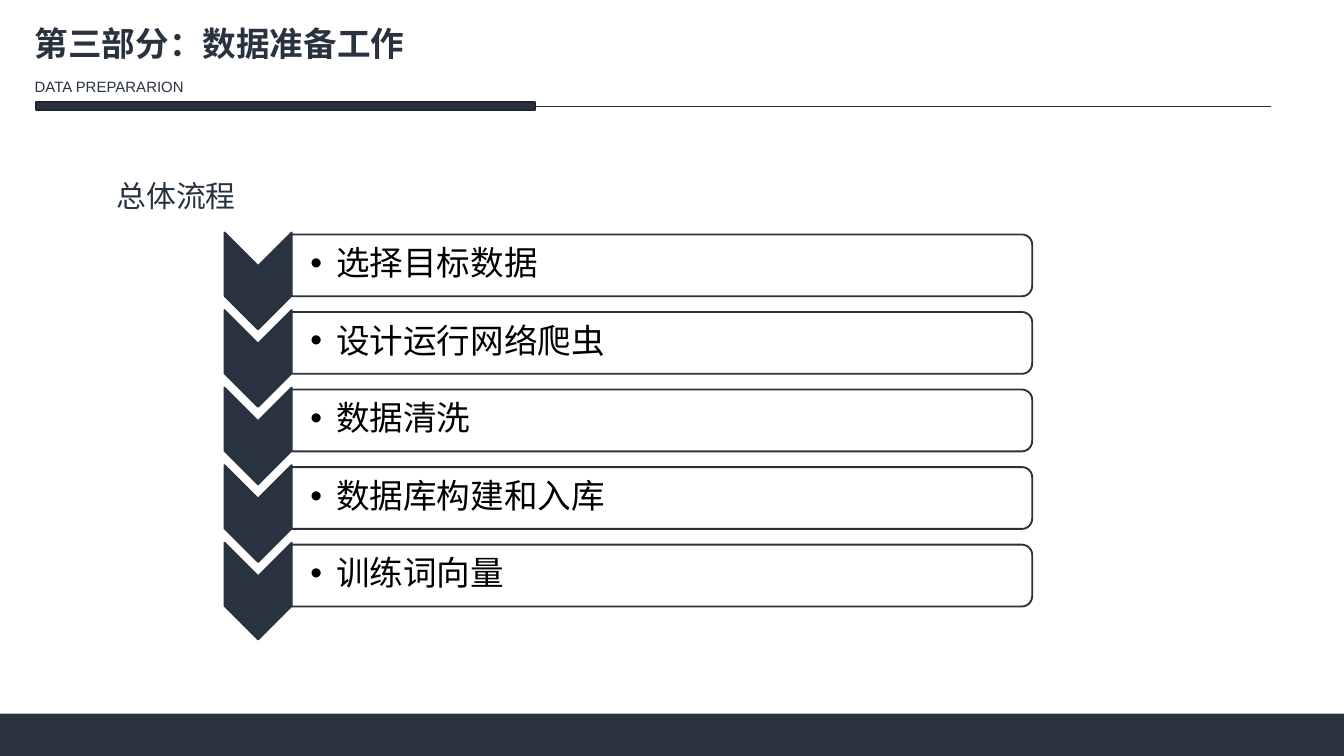
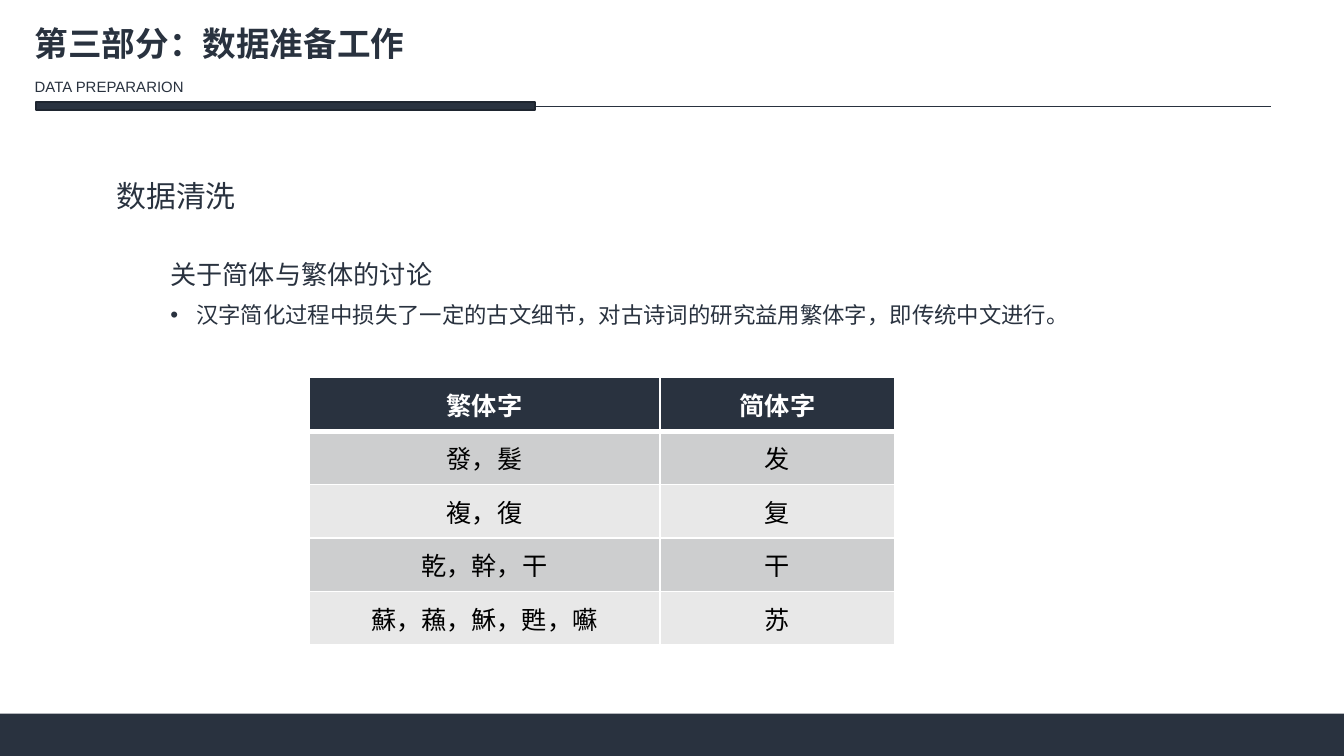
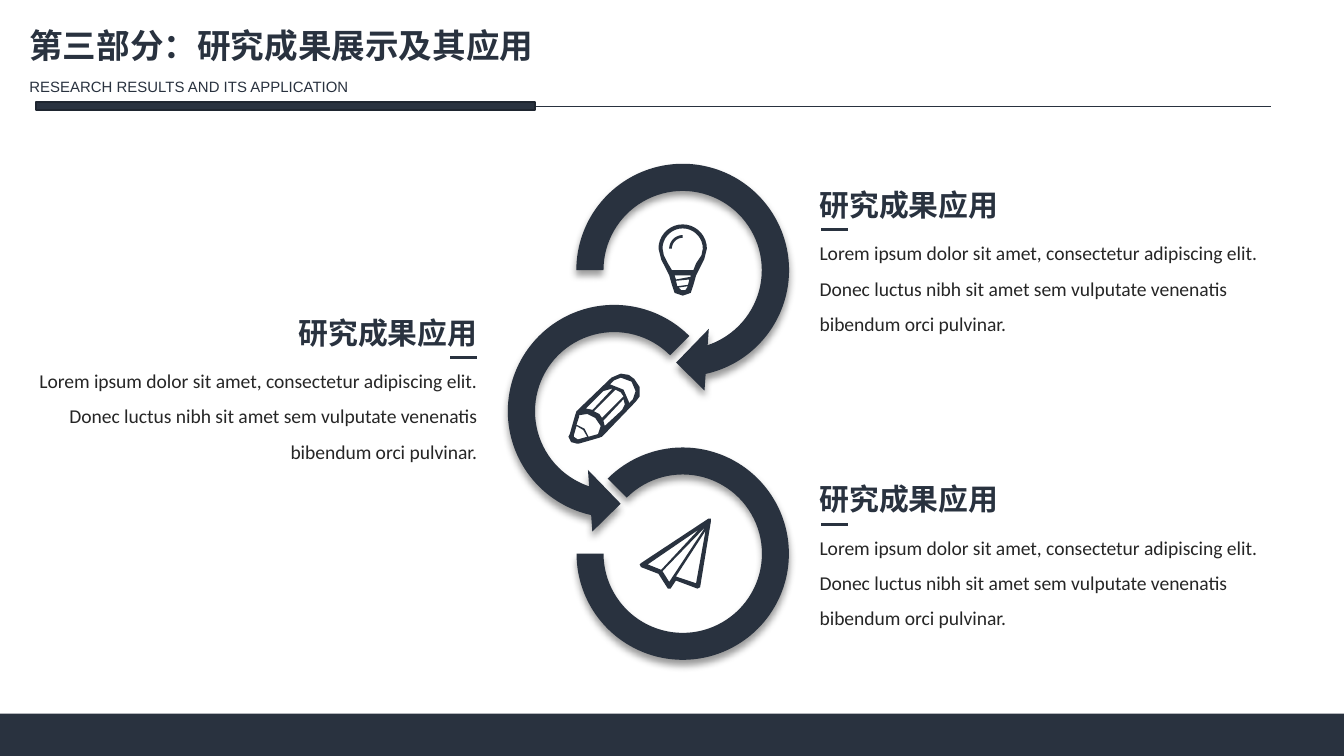
"""Build three slides on data preparation and research results."""
import math
from dataclasses import dataclass

from lxml import etree
from pptx import Presentation
from pptx import util as u
from pptx.dml.color import RGBColor
from pptx.enum import shapes, text
from pptx.oxml.ns import qn

COLS, ROWS = 100, 56.25
CELL = u.Inches(0.1)
ICON_UNIT = CELL / 10
SHAPE = shapes.MSO_SHAPE
LEFT, CENTER, RIGHT = text.PP_ALIGN.LEFT, text.PP_ALIGN.CENTER, text.PP_ALIGN.RIGHT


@dataclass(frozen=True)
class Theme:
    """Colours, fonts and type sizes of the deck."""
    dark: str = "29323F"
    edge: str = "1E252F"
    body: str = "262626"
    black: str = "000000"
    white: str = "FFFFFF"
    bands: tuple = ("CDCECF", "E8E8E8")
    cjk: str = "Noto Sans CJK SC"
    latin: str = "Calibri"
    sub: str = "Arial"
    title_pt: float = 18
    head_pt: float = 16
    topic_pt: float = 14
    table_pt: float = 13.5
    note_pt: float = 12
    body_pt: float = 10.5
    sub_pt: float = 8


T = Theme()
LOREM = ("Lorem ipsum dolor sit amet, consectetur adipiscing elit. "
         "Donec luctus nibh sit amet sem vulputate venenatis bibendum orci pulvinar.")
STEPS = ["选择目标数据", "设计运行网络爬虫", "数据清洗", "数据库构建和入库", "训练词向量"]
CHARACTERS = [("繁体字", "简体字"), ("發，髮", "发"), ("複，復", "复"),
              ("乾，幹，干", "干"), ("蘇，蘓，穌，甦，囌", "苏")]


def arc(cx, cy, radius, start, end, steps=18):
    """Return points along a circular arc, angles in degrees clockwise from east."""
    angles = [math.radians(start + (end - start) * i / steps) for i in range(steps + 1)]
    return [(cx + radius * math.cos(a), cy + radius * math.sin(a)) for a in angles]


PLANE = [
    [(53, 0), (51, 0), (1, 33), (0, 34), (1, 36), (14, 41), (21, 52), (23, 52),
     (27, 46), (43, 52), (45, 51), (53, 2)],
    [(42, 48), (27, 43), (49, 9)],
    [(17, 39), (49, 6), (22, 47)],
    [(6, 34), (44, 8), (16, 38)],
]
PENCIL = [
    [(49, 4), (45, 1), (39, 0), (32, 3), (6, 28), (5, 31), (1, 45), (0, 47), (2, 51),
     (6, 52), (8, 52), (22, 48), (25, 47), (50, 21), (53, 17), (53, 10)],
    [(48, 19), (45, 22), (45, 21), (41, 12), (31, 8), (34, 5), (39, 3), (47, 6), (50, 13)],
    [(15, 47), (12, 41), (6, 38), (8, 32), (8, 31), (14, 30), (20, 33), (24, 39), (22, 45)],
    [(7, 49), (4, 47), (4, 46), (6, 39), (11, 42), (14, 47)],
    [(18, 27), (13, 26), (26, 13), (33, 11)],
    [(25, 33), (23, 30), (19, 28), (35, 12), (39, 14), (41, 17)],
    [(27, 39), (26, 35), (41, 19), (42, 23), (40, 27)],
]
BULB = [
    arc(18, 18, 18, 180, 360) + [(34, 26), (28, 38), (26, 45), (24, 51), (18, 53),
                                 (12, 51), (10, 45), (8, 38), (2, 26)],
    arc(18, 18, 15, 180, 360) + [(32, 23), (28, 29), (26, 34), (10, 34), (7, 29), (4, 23)],
    [(13, 41), (12, 38), (24, 38), (24, 39)],
    [(22, 45), (14, 46), (13, 42), (23, 41)],
    [(15, 47), (22, 46), (20, 49), (17, 49)],
]
GLINT = [arc(18, 18, 10, 180, 270) + arc(18, 18, 8, 270, 180)]


def cells(*lengths):
    """Convert grid columns or rows to slide lengths."""
    return [u.Emu(round(n * CELL)) for n in lengths]


def rgb(color):
    """Return the colour object for a hex value."""
    return RGBColor.from_string(color)


def paint(sp, fill, line=None, width=1):
    """Give a shape a flat fill and an optional outline, without shadow."""
    sp.shadow.inherit = False
    sp.fill.solid()
    sp.fill.fore_color.rgb = rgb(fill)
    if line:
        sp.line.color.rgb = rgb(line)
        sp.line.width = u.Pt(width)
    else:
        sp.line.fill.background()
    return sp


def add_shape(s, kind, box, fill, line=None):
    """Add a painted preset shape."""
    return paint(s.shapes.add_shape(kind, *cells(*box)), fill, line)


def add_turned(s, kind, box, fill, line):
    """Add a shape turned by a quarter that covers the given box."""
    x, y, w, h = box
    sp = add_shape(s, kind, (x + (w - h) / 2, y + (h - w) / 2, h, w), fill, line)
    sp.rotation = 90
    return sp


def add_line(s, x1, x2, y, width):
    """Add a horizontal rule."""
    line = s.shapes.add_connector(shapes.MSO_CONNECTOR.STRAIGHT, *cells(x1, y, x2, y))
    line.line.color.rgb = rgb(T.dark)
    line.line.width = u.Pt(width)
    etree.SubElement(line.element.spPr, qn("a:effectLst"))


def style(p, size, font=T.cjk, color=T.dark, bold=False, align=LEFT, spacing=None):
    """Format a paragraph and its runs."""
    p.alignment = align
    if spacing:
        p.line_spacing = spacing
    for r in p.runs:
        r.font.name, r.font.size, r.font.bold = font, u.Pt(size), bold
        r.font.color.rgb = rgb(color)
        etree.SubElement(r.font._element, qn("a:ea"), typeface=T.cjk)


def add_bullet(p):
    """Put a hanging bullet before a paragraph."""
    pPr = p._p.get_or_add_pPr()
    indent = u.Inches(0.19)
    pPr.set("marL", str(indent))
    pPr.set("indent", str(-indent))
    etree.SubElement(pPr, qn("a:buFont"), typeface=T.sub)
    etree.SubElement(pPr, qn("a:buChar"), char="•")


def add_text(s, box, content, size, wrap=False, **look):
    """Add a text box with one styled paragraph."""
    tf = s.shapes.add_textbox(*cells(*box)).text_frame
    tf.word_wrap = wrap
    tf.auto_size = text.MSO_AUTO_SIZE.SHAPE_TO_FIT_TEXT
    tf.text = content
    style(tf.paragraphs[0], size, **look)
    return tf


def add_frame(s, layout):
    """Draw the footer band and title rule and move them to the layout."""
    for ph in list(layout.placeholders):
        layout.shapes.element.remove(ph.element)
    add_shape(s, SHAPE.RECTANGLE, (0, 53.1, COLS, ROWS - 53.1), T.dark)
    add_line(s, 2.7, 94.6, 7.9, 0.5)
    add_shape(s, SHAPE.RECTANGLE, (2.7, 7.6, 37.1, 0.6), T.dark, T.edge)
    for sp in list(s.shapes):
        layout.shapes.element.append(sp.element)


def add_title(s, title, subtitle, x=1.6, y=1.2, widths=(29.8, 13.5)):
    """Add the slide title and the line under it."""
    add_text(s, (x, y, widths[0], 4), title, T.title_pt, bold=True)
    add_text(s, (x, 5.3, widths[1], 2.4), subtitle, T.sub_pt, font=T.sub)


def add_heading(s, content):
    """Add the section heading."""
    add_text(s, (7.7, 12.7, 11, 3.7), content, T.head_pt)


def add_step(s, y, label):
    """Add a chevron with its label panel."""
    add_turned(s, SHAPE.CHEVRON, (16.7, y, 5, 7.2), T.dark, T.dark)
    panel = add_turned(s, SHAPE.ROUND_2_SAME_RECTANGLE, (21.7, y + 0.15, 55.1, 4.6),
                       T.white, T.dark)
    color = panel.element.spPr.find(qn("a:solidFill"))[0]
    etree.SubElement(color, qn("a:alpha"), val="90000")
    tf = add_text(s, (21.7, y + 0.3, 54.8, 4.2), label, T.title_pt, wrap=True,
                  font=T.latin, color=T.black, spacing=0.9)
    tf.auto_size = text.MSO_AUTO_SIZE.NONE
    tf.vertical_anchor = text.MSO_ANCHOR.MIDDLE
    tf.margin_left, tf.margin_top, tf.margin_right, tf.margin_bottom = cells(1.4, .1, .1, .1)
    add_bullet(tf.paragraphs[0])


def add_borders(cell, **widths):
    """Draw white cell borders of the given point widths."""
    tcPr = cell._tc.get_or_add_tcPr()
    for side in "LRTB":
        ln = etree.SubElement(tcPr, qn(f"a:ln{side}"), w=str(u.Pt(widths.get(side, 1))))
        fill = etree.SubElement(ln, qn("a:solidFill"))
        etree.SubElement(fill, qn("a:srgbClr"), val=T.white)


def add_character_table(s, rows):
    """Add the banded table of traditional and simplified characters."""
    widths, row_height = (26.1, 17.5), 3.98
    box = cells(23, 28.1, sum(widths), row_height * len(rows))
    table = s.shapes.add_table(len(rows), len(widths), *box).table
    for column, width in zip(table.columns, cells(*widths)):
        column.width = width
    for i, row in enumerate(rows):
        head = i == 0
        for j, value in enumerate(row):
            cell = table.cell(i, j)
            add_borders(cell, **({"B": 3} if head else {"T": 3} if i == 1 else {}))
            cell.fill.solid()
            cell.fill.fore_color.rgb = rgb(T.dark if head else T.bands[(i - 1) % 2])
            cell.vertical_anchor = text.MSO_ANCHOR.MIDDLE
            cell.text_frame.text = value
            style(cell.text_frame.paragraphs[0], T.table_pt, bold=head, align=CENTER,
                  color=T.white if head else T.black)


def add_ring(s, kind, x, y, size, adjustments):
    """Add a ring segment with a soft shadow below it."""
    sp = add_shape(s, kind, (x, y, size, size), T.dark)
    for i, value in enumerate(adjustments):
        sp.adjustments[i] = value
    shadow = etree.SubElement(sp.element.spPr.find(qn("a:effectLst")), qn("a:outerShdw"),
                              blurRad=str(u.Pt(4)), dist=str(u.Pt(3)), dir="5400000",
                              algn="t", rotWithShape="0")
    color = etree.SubElement(shadow, qn("a:srgbClr"), val=T.black)
    etree.SubElement(color, qn("a:alpha"), val="40000")


def add_icon(s, x, y, contours):
    """Add an icon made of an outline and its openings."""
    scaled = [[(px * ICON_UNIT, py * ICON_UNIT) for px, py in c] for c in contours]
    builder = s.shapes.build_freeform(*scaled[0][0], scale=1.0)
    for i, points in enumerate(scaled):
        if i:
            builder.move_to(*points[0])
        builder.add_line_segments(points[1:], close=True)
    paint(builder.convert_to_shape(*cells(x, y)), T.dark)


def add_callout(s, edge, y, align=LEFT):
    """Add a heading, a short rule and a paragraph aligned to an edge."""
    on_right = align == RIGHT
    add_text(s, (edge - 15.5 * on_right, y, 15.5, 3.7), "研究成果应用", T.head_pt,
             bold=True, align=align)
    add_text(s, (edge - 37.3 * on_right, y + 3.2, 37.3, 8.7), LOREM, T.body_pt, wrap=True,
             font=T.latin, color=T.body, align=align, spacing=1.5)
    x = edge - 3 if on_right else edge + 1.1
    add_line(s, x, x + 2, y + 3.7, 1.5)


def build_process(s):
    """Fill the slide on the overall process."""
    add_title(s, "第三部分：数据准备工作", "DATA PREPARARION")
    for i, label in enumerate(STEPS):
        add_step(s, 17.3 + 5.77 * i, label)
    add_heading(s, "总体流程")


def build_cleaning(s):
    """Fill the slide on data cleaning."""
    add_title(s, "第三部分：数据准备工作", "DATA PREPARARION")
    add_heading(s, "数据清洗")
    tf = add_text(s, (11.7, 16.4, 76.1, 8.6), "关于简体与繁体的讨论", T.topic_pt,
                  wrap=True, spacing=2.0)
    tf.paragraphs[0].space_after = u.Pt(6)
    p = tf.add_paragraph()
    p.text = "汉字简化过程中损失了一定的古文细节，对古诗词的研究益用繁体字，即传统中文进行。"
    style(p, T.note_pt)
    add_bullet(p)
    add_character_table(s, CHARACTERS)


def build_results(s):
    """Fill the slide on research results."""
    add_title(s, "第三部分：研究成果展示及其应用", "RESEARCH RESULTS AND ITS APPLICATION",
              x=1.2, y=1.4, widths=(39.9, 26.3))
    add_ring(s, SHAPE.CIRCULAR_ARROW, 41.6, 10.9, 18.4, (0.11, 11.42, 45, 108, 0.125))
    add_ring(s, SHAPE.LEFT_CIRCULAR_ARROW, 36.5, 21.4, 18.4, (0.11, 11.42, 63, 189, 0.125))
    add_ring(s, SHAPE.BLOCK_ARC, 42.9, 33.3, 15.8, (135, 108, 0.127))
    add_callout(s, 60, 13.4)
    add_callout(s, 60, 35.3)
    add_callout(s, 36.5, 22.9, RIGHT)
    add_icon(s, 47.6, 38.6, PLANE)
    add_icon(s, 42.3, 27.8, PENCIL)
    for contours in (BULB, GLINT):
        add_icon(s, 49, 16.7, contours)


def main():
    """Build and save the deck."""
    prs = Presentation()
    prs.slide_width, prs.slide_height = cells(COLS, ROWS)
    blank = prs.slide_layouts[6]
    for i, build in enumerate((build_process, build_cleaning, build_results)):
        s = prs.slides.add_slide(blank)
        if i == 0:
            add_frame(s, blank)
        build(s)
    prs.save("out.pptx")


if __name__ == "__main__":
    main()
